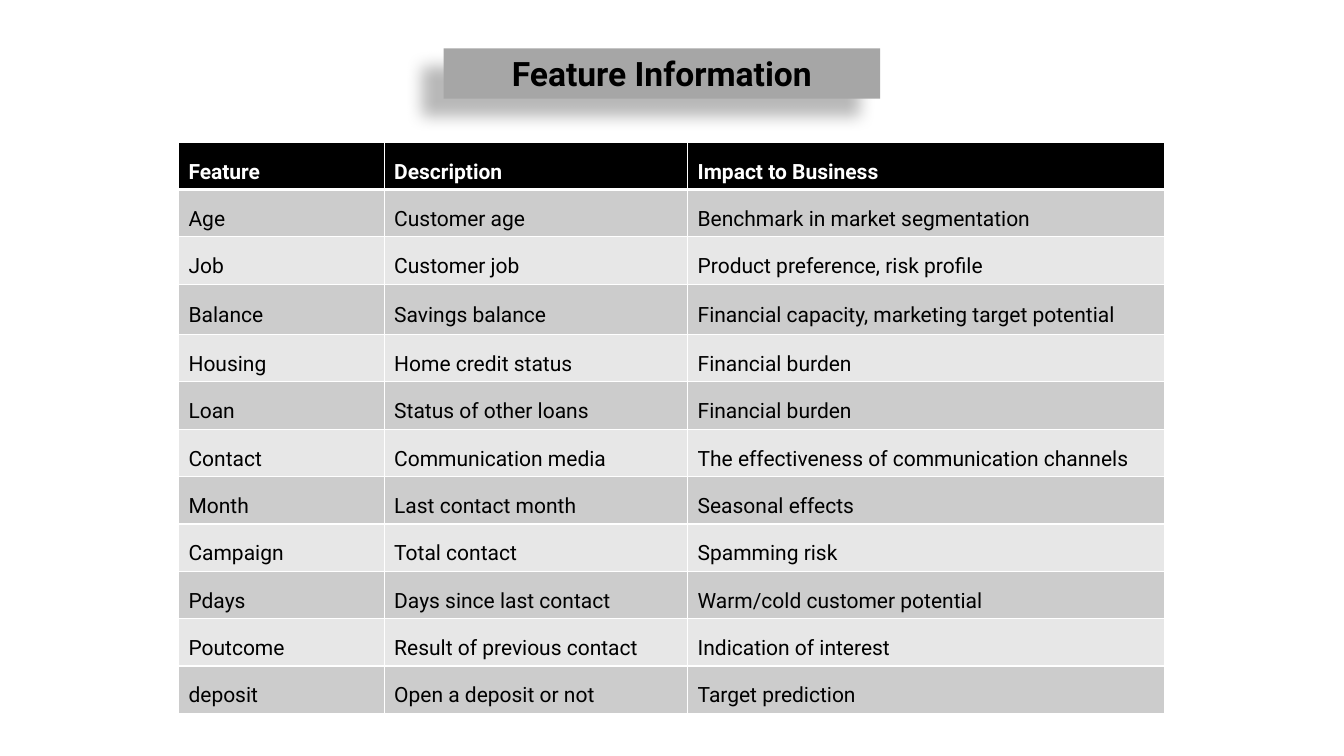
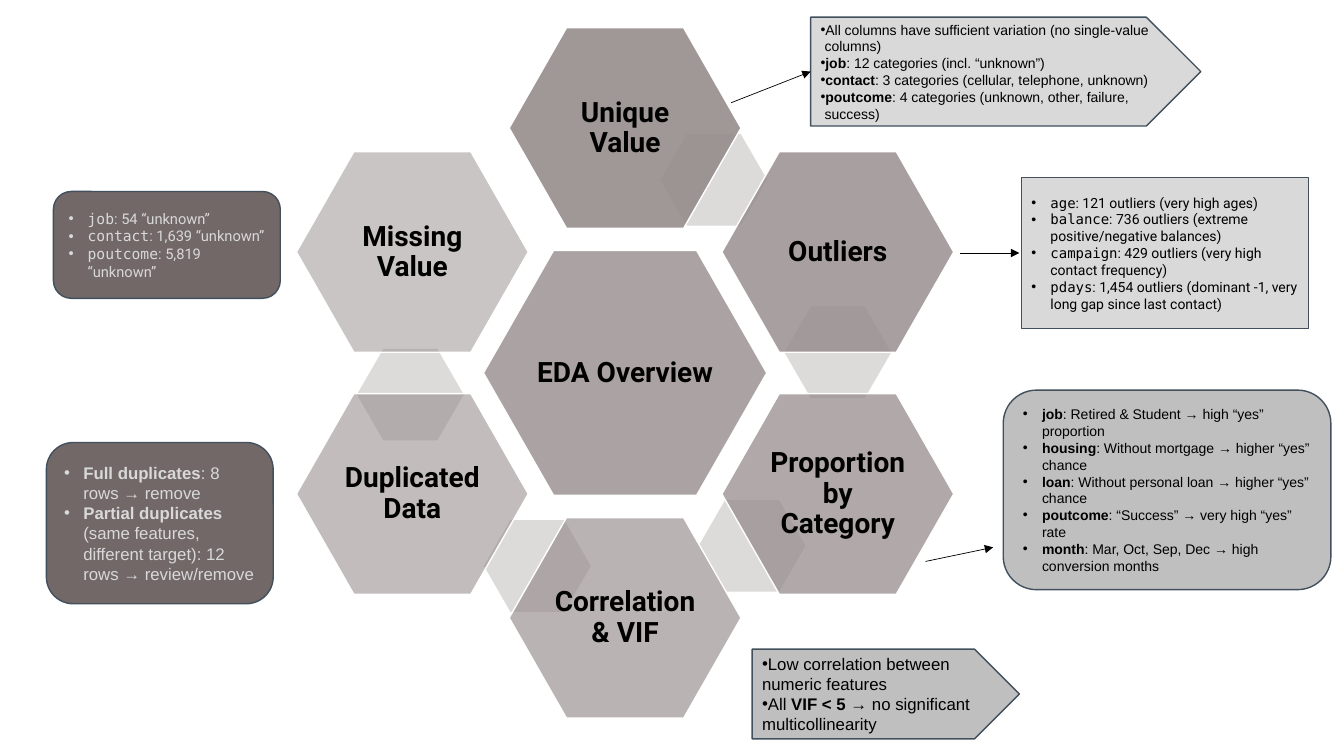
from lxml import etree
from pptx import Presentation
from pptx.dml.color import RGBColor
from pptx.enum.shapes import MSO_CONNECTOR, MSO_SHAPE
from pptx.enum.text import MSO_ANCHOR, PP_ALIGN
from pptx.oxml.ns import qn
from pptx.util import Inches, Pt

RECTANGLE = MSO_SHAPE.RECTANGLE
ROUNDED = MSO_SHAPE.ROUNDED_RECTANGLE
ARROW_PLATE = MSO_SHAPE.PENTAGON
HEXAGON = MSO_SHAPE.HEXAGON
STRAIGHT = MSO_CONNECTOR.STRAIGHT
MIDDLE = MSO_ANCHOR.MIDDLE
LEFT = PP_ALIGN.LEFT
CENTER = PP_ALIGN.CENTER

BLACK = "000000"
WHITE = "FFFFFF"
TITLE_GREY = "A6A6A6"
BAND_DARK = "CCCCCC"
BAND_LIGHT = "E7E7E7"
TAUPE = "968C8C"
LINK_GREY = "DDDADA"
NOTE_LIGHT = "D9D9D9"
NOTE_MEDIUM = "BFBFBF"
NOTE_DARK = "726868"
NOTE_EDGE = "41505C"
ROBOTO = "Roboto"
ARIAL = "Arial"
MONO = "DejaVu Sans Mono"

FEATURES = [
    ("Feature", "Description", "Impact to Business"),
    ("Age", "Customer age", "Benchmark in market segmentation"),
    ("Job", "Customer job", "Product preference, risk profile"),
    ("Balance", "Savings balance", "Financial capacity, marketing target potential"),
    ("Housing", "Home credit status", "Financial burden"),
    ("Loan", "Status of other loans", "Financial burden"),
    ("Contact", "Communication media", "The effectiveness of communication channels"),
    ("Month", "Last contact month", "Seasonal effects"),
    ("Campaign", "Total contact", "Spamming risk"),
    ("Pdays", "Days since last contact", "Warm/cold customer potential"),
    ("Poutcome", "Result of previous contact", "Indication of interest"),
    ("deposit", "Open a deposit or not", "Target prediction"),
]

RING = [
    ("Unique Value", 0, -2.43, (6.55, 1.33)),
    ("Outliers", 2.11, -1.2, (7.78, 3.04)),
    ("Proportion by Category", 2.11, 1.2, (6.93, 4.96)),
    ("Correlation & VIF", 0, 2.43, (4.8, 5.16)),
    ("Duplicated Data", -2.11, 1.2, (3.54, 3.46)),
    ("Missing Value", -2.11, -1.2, None),
]

UNIQUE_NOTES = [
    "All columns have sufficient variation (no single-value columns)",
    "*job*: 12 categories (incl. “unknown”)",
    "*contact*: 3 categories (cellular, telephone, unknown)",
    "*poutcome*: 4 categories (unknown, other, failure, success)",
]
OUTLIER_NOTES = [
    "*age*: 121 outliers (very high ages)",
    "*balance*: 736 outliers (extreme positive/negative balances)",
    "*campaign*: 429 outliers (very high contact frequency)",
    "*pdays*: 1,454 outliers (dominant -1, very long gap since last contact)",
]
MISSING_NOTES = [
    "*job*: 54 “unknown”",
    "*contact*: 1,639 “unknown”",
    "*poutcome*: 5,819 “unknown”",
]
DUPLICATE_NOTES = [
    "*Full duplicates*: 8 rows → remove",
    "*Partial duplicates* (same features, different target): 12 rows → review/remove",
]
PROPORTION_NOTES = [
    "*job*: Retired & Student → high “yes” proportion",
    "*housing*: Without mortgage → higher “yes” chance",
    "*loan*: Without personal loan → higher “yes” chance",
    "*poutcome*: “Success” → very high “yes” rate",
    "*month*: Mar, Oct, Sep, Dec → high conversion months",
]
CORRELATION_NOTES = [
    "Low correlation between numeric features",
    "All *VIF < 5* → no significant multicollinearity",
]


def color(value):
    return RGBColor.from_string(value)


def add_xml(parent, tag, **attributes):
    names = {name: str(value) for name, value in attributes.items()}
    return etree.SubElement(parent, qn(tag), names)


class Sheet:
    """Holds the shared style and the slide being filled."""

    def __init__(self, deck):
        self.deck = deck
        self.page = None

    def new_page(self):
        self.page = self.deck.slides.add_slide(self.deck.slide_layouts[6])

    def style(self, span, size, ink=BLACK, font=ROBOTO, bold=False):
        span.font.size = Pt(size)
        span.font.name = font
        span.font.bold = bold
        span.font.color.rgb = color(ink)

    def shape(self, kind, left, top, width, height, fill, edge=None, opacity=100):
        box = self.page.shapes.add_shape(
            kind, Inches(left), Inches(top), Inches(width), Inches(height))
        box.shadow.inherit = False
        box.fill.solid()
        box.fill.fore_color.rgb = color(fill)
        if opacity < 100:
            tint = box._element.spPr.find(qn("a:solidFill"))[0]
            add_xml(tint, "a:alpha", val=opacity * 1000)
        if edge:
            box.line.color.rgb = color(edge)
            box.line.width = Pt(1)
        else:
            box.line.fill.background()
        return box

    def title(self, text):
        box = self.shape(RECTANGLE, 4.4, 0.48, 4.33, 0.5, TITLE_GREY)
        effects = box._element.spPr.find(qn("a:effectLst"))
        shadow = add_xml(effects, "a:outerShdw", blurRad=Pt(11.8), dist=Pt(19.7),
                         dir=141 * 60000, algn="ctr", rotWithShape=0)
        add_xml(add_xml(shadow, "a:srgbClr", val=BLACK), "a:alpha", val=28000)
        box.text_frame.text = text
        para = box.text_frame.paragraphs[0]
        para.alignment = CENTER
        self.style(para.runs[0], 24, bold=True)

    def label(self, text, left, top, width, height):
        box = self.page.shapes.add_textbox(
            Inches(left), Inches(top), Inches(width), Inches(height))
        frame = box.text_frame
        frame.word_wrap = True
        frame.vertical_anchor = MIDDLE
        frame.margin_left = frame.margin_right = Inches(0.03)
        frame.margin_top = frame.margin_bottom = Inches(0.03)
        frame.text = text
        para = frame.paragraphs[0]
        para.alignment = CENTER
        para.line_spacing = 0.9
        self.style(para.runs[0], 20, bold=True)

    def hexagon(self, text, center_x, center_y, width, height, opacity):
        box = self.shape(HEXAGON, center_x - width / 2, center_y - height / 2,
                         width, height, TAUPE, WHITE, opacity)
        box.adjustments[0] = 0.286
        inner_width, inner_height = width * 0.67, height * 0.67
        self.label(text, center_x - inner_width / 2, center_y - inner_height / 2,
                   inner_width, inner_height)

    def link(self, left, top):
        box = self.shape(HEXAGON, left, top, 1.06, 0.91, LINK_GREY)
        box.adjustments[0] = 0.289

    def note(self, kind, place, fill, lines, size, ink=BLACK, font=ARIAL,
             lead_font=None, hang=0.19):
        box = self.shape(kind, *place, fill, NOTE_EDGE)
        frame = box.text_frame
        frame.word_wrap = True
        frame.vertical_anchor = MIDDLE
        for index, line in enumerate(lines):
            para = frame.add_paragraph() if index else frame.paragraphs[0]
            para.alignment = LEFT
            self.bullet(para, hang)
            for order, text in enumerate(line.split("*")):
                if not text:
                    continue
                span = para.add_run()
                span.text = text
                lead = order % 2 == 1
                face = lead_font if lead and lead_font else font
                self.style(span, size, ink, face, lead and not lead_font)

    def bullet(self, para, hang):
        properties = para._p.get_or_add_pPr()
        properties.set("marL", str(Inches(hang)))
        properties.set("indent", str(-Inches(hang)))
        add_xml(properties, "a:buFont", typeface=ARIAL)
        add_xml(properties, "a:buChar", char="•")

    def arrow(self, start_x, start_y, end_x, end_y):
        line = self.page.shapes.add_connector(
            STRAIGHT, Inches(start_x), Inches(start_y), Inches(end_x), Inches(end_y))
        line.line.color.rgb = color(BLACK)
        line.line.width = Pt(0.5)
        add_xml(line._element.spPr.find(qn("a:ln")), "a:tailEnd", type="triangle")
        add_xml(line._element.spPr, "a:effectLst")

    def table(self, rows, left, top, widths, heights):
        frame = self.page.shapes.add_table(
            len(rows), len(widths), Inches(left), Inches(top),
            Inches(sum(widths)), Inches(sum(heights)))
        grid = frame.table
        for column, width in zip(grid.columns, widths):
            column.width = Inches(width)
        for index, (texts, height) in enumerate(zip(rows, heights)):
            grid.rows[index].height = Inches(height)
            for column, text in enumerate(texts):
                self.cell(grid.cell(index, column), text, index)

    def cell(self, cell, text, row):
        header = row == 0
        band = BAND_DARK if row % 2 else BAND_LIGHT
        cell.vertical_anchor = MIDDLE
        cell.text_frame.text = text
        para = cell.text_frame.paragraphs[0]
        para.line_spacing = 1.5
        self.style(para.runs[0], 15, WHITE if header else BLACK, bold=header)
        properties = cell._tc.get_or_add_tcPr()
        for side in ("L", "R", "T", "B"):
            thick = (header and side == "B") or (row == 1 and side == "T")
            edge = add_xml(properties, "a:ln" + side, w=Pt(3 if thick else 1))
            add_xml(add_xml(edge, "a:solidFill"), "a:srgbClr", val=WHITE)
        cell.fill.solid()
        cell.fill.fore_color.rgb = color(BLACK if header else band)


def feature_page(sheet):
    sheet.new_page()
    heights = [0.5 if row[0] == "Balance" else 0.47 for row in FEATURES]
    sheet.table(FEATURES, 1.77, 1.41, (2.04, 3.01, 4.73), heights)
    sheet.title("Feature Information")


def overview_page(sheet):
    sheet.new_page()
    center_x, center_y = 6.2, 3.7
    sheet.hexagon("EDA Overview", center_x, center_y, 2.81, 2.43, 80)
    for index, (text, shift_x, shift_y, link_place) in enumerate(RING):
        if link_place:
            sheet.link(*link_place)
        sheet.hexagon(text, center_x + shift_x, center_y + shift_y,
                      2.3, 1.99, 90 - 8 * index)

    sheet.note(ARROW_PLATE, (8.04, 0.17, 3.87, 1.08), NOTE_LIGHT, UNIQUE_NOTES,
               10, hang=0.04)
    sheet.note(RECTANGLE, (10.13, 1.76, 2.85, 1.5), NOTE_LIGHT, OUTLIER_NOTES,
               10, font=ROBOTO, lead_font=MONO)
    sheet.note(ROUNDED, (0.53, 1.9, 2.25, 1.06), NOTE_DARK, MISSING_NOTES,
               10.5, NOTE_LIGHT, ROBOTO, MONO)
    sheet.note(ROUNDED, (0.46, 4.39, 2.25, 1.6), NOTE_DARK, DUPLICATE_NOTES,
               12, NOTE_LIGHT)
    sheet.note(ROUNDED, (9.95, 3.87, 3.25, 1.98), NOTE_MEDIUM, PROPORTION_NOTES, 10)
    sheet.note(ARROW_PLATE, (7.46, 6.44, 2.65, 0.89), NOTE_MEDIUM,
               CORRELATION_NOTES, 12, hang=0)

    sheet.arrow(7.25, 1.02, 8.04, 0.71)
    sheet.arrow(9.52, 2.51, 10.11, 2.51)
    sheet.arrow(9.18, 5.57, 9.85, 5.43)


def main():
    deck = Presentation()
    deck.slide_width = Inches(13.33)
    deck.slide_height = Inches(7.5)
    sheet = Sheet(deck)
    feature_page(sheet)
    overview_page(sheet)
    deck.save("out.pptx")


if __name__ == "__main__":
    main()
